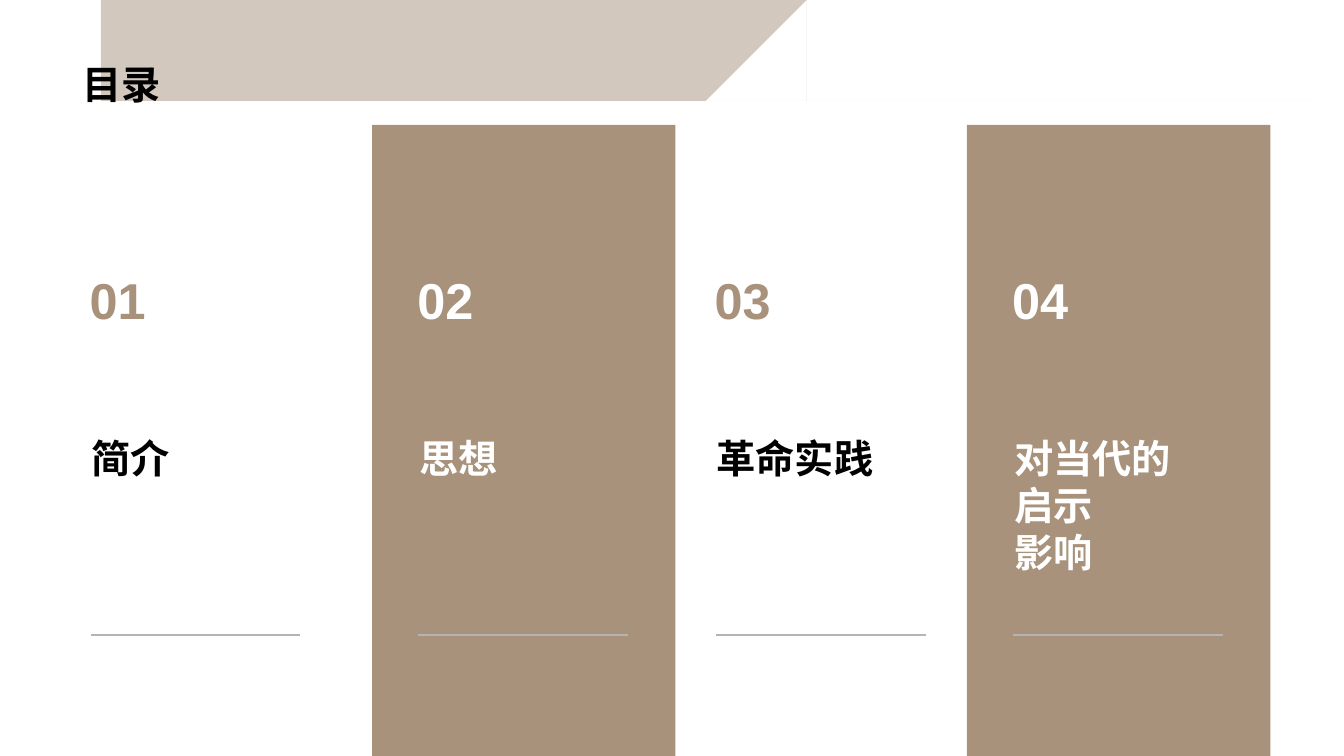
import math

import pptx
import pptx.dml.color
import pptx.enum.shapes
import pptx.enum.text
import pptx.oxml.ns
import pptx.util
from lxml import etree

Inches = pptx.util.Inches
Pt = pptx.util.Pt
RGB = pptx.dml.color.RGBColor.from_string
qn = pptx.oxml.ns.qn
ANCHOR = pptx.enum.text.MSO_ANCHOR

COLORS = {
    "tan": "A8927C",
    "brown": "58493A",
    "gray": "B4B4B4",
    "black": "000000",
    "white": "FFFFFF",
}

prs = pptx.Presentation()
prs.slide_width = Inches(13.33)
prs.slide_height = Inches(7.5)
s = prs.slides.add_slide(prs.slide_layouts[5])


def corner(cx, cy, start, radius=0.08):
    """Points of a clockwise quarter circle, starting at an angle in degrees."""
    angles = [math.radians(start + step * 15) for step in range(7)]
    return [(cx + radius * math.cos(a), cy + radius * math.sin(a)) for a in angles]


def write(tf, lines, size, color, anchor):
    tf.vertical_anchor = anchor
    for i, line in enumerate(lines):
        p = tf.paragraphs[0] if i == 0 else tf.add_paragraph()
        p.alignment = pptx.enum.text.PP_ALIGN.LEFT
        r = p.add_run()
        r.text = line
        r.font.name = "Arial"
        r.font.size = Pt(size)
        r.font.bold = True
        r.font.color.rgb = RGB(COLORS[color])


# Folder-tab banner: light bar, title tab, fold; opacity in percent
banner = [
    ([(7.51, 0.61), *corner(12.6, 0.69, -90), *corner(12.6, 1.17, 0), (7.23, 1.25)],
     "tan", 15),
    ([(7.57, 0.46), (7.23, 1.25), *corner(0.73, 1.17, 90), *corner(0.73, 0.54, 180)],
     "tan", 50),
    ([(7.57, 0.46), (7.73, 0.61), (7.51, 0.61)], "brown", 40),
]
for points, color, opacity in banner:
    outline = s.shapes.build_freeform(*points[0], scale=Inches(1))
    outline.add_line_segments(points[1:], close=True)
    sp = outline.convert_to_shape()
    sp.shadow.inherit = False
    sp.fill.solid()
    sp.fill.fore_color.rgb = RGB(COLORS[color])
    sp.line.fill.background()
    srgb = sp.fill._xPr.find(qn("a:solidFill")).find(qn("a:srgbClr"))
    etree.SubElement(srgb, qn("a:alpha"), val=str(opacity * 1000))

# Title, brought in front of the banner
title = s.shapes.title
title.left, title.top = Inches(0.72), Inches(0.14)
title.width, title.height = Inches(11.88), Inches(0.98)
title.text_frame.auto_size = pptx.enum.text.MSO_AUTO_SIZE.NONE
write(title.text_frame, ["目录"], 28, "black", ANCHOR.BOTTOM)
s.shapes._spTree.append(title._element)

# Four agenda columns, every second one on a tan panel
columns = [
    (0.9, ["简介"]),
    (4.15, ["思想"]),
    (7.1, ["革命实践"]),
    (10.05, ["对当代的", "启示", "影响"]),
]
for number, (x, topic) in enumerate(columns, 1):
    on_panel = number % 2 == 0
    if on_panel:
        panel = s.shapes.add_shape(
            pptx.enum.shapes.MSO_SHAPE.RECTANGLE,
            Inches(x - 0.46), Inches(1.24), Inches(3.01), Inches(6.26))
        panel.shadow.inherit = False
        panel.fill.solid()
        panel.fill.fore_color.rgb = RGB(COLORS["tan"])
        panel.line.fill.background()

    tb = s.shapes.add_textbox(Inches(x - 0.11), Inches(2.51), Inches(1.89), Inches(0.81))
    tb.text_frame.word_wrap = False
    write(tb.text_frame, [f"{number:02d}"], 36,
          "white" if on_panel else "tan", ANCHOR.BOTTOM)

    tb = s.shapes.add_textbox(Inches(x - 0.09), Inches(4.26), Inches(2.27), Inches(1.83))
    tb.text_frame.word_wrap = True
    write(tb.text_frame, topic, 28, "white" if on_panel else "black", ANCHOR.TOP)

    rule = s.shapes.add_connector(
        pptx.enum.shapes.MSO_CONNECTOR.STRAIGHT,
        Inches(x), Inches(6.3), Inches(x + 2.08), Inches(6.3))
    rule.line.color.rgb = RGB(COLORS["gray"])
    rule.line.width = Pt(1.75)
    etree.SubElement(rule._element.spPr, qn("a:effectLst"))

prs.save("out.pptx")
